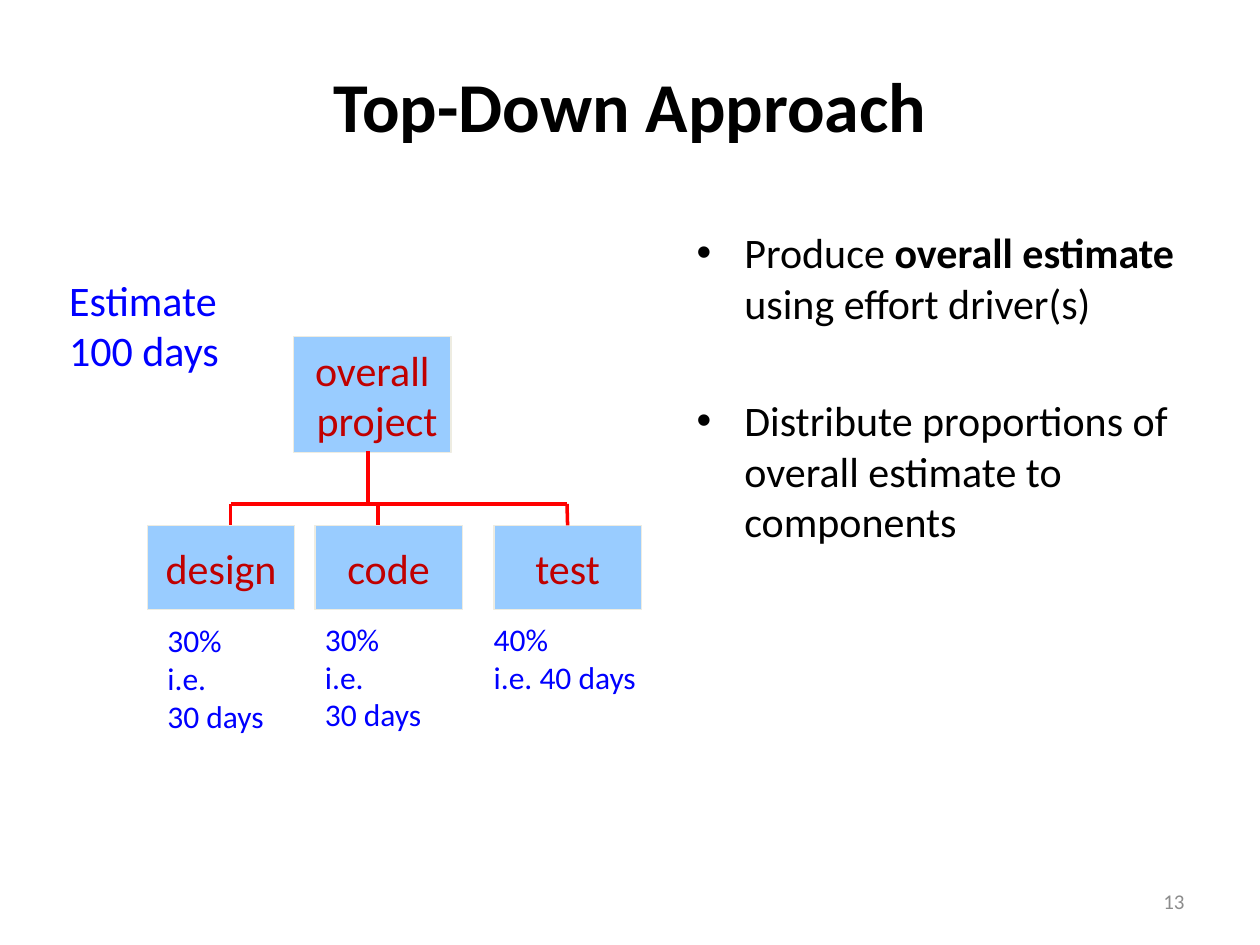
from dataclasses import dataclass

from lxml import etree
from pptx import Presentation
from pptx import util as u
from pptx.dml.color import RGBColor
from pptx.enum import shapes, text
from pptx.oxml import ns

FONT = "Calibri"
BLACK, GRAY, BLUE, DARK_RED = "000000", "8C8C8C", "0000FF", "C00000"
BOX_FILL, BOX_EDGE, LINK_RED = "99CCFF", "EEECE1", "FF0000"
BUS_Y, STAGE_Y = 4, 4.17


@dataclass
class Style:
    size: float
    color: str
    bold: bool = False
    align: text.PP_ALIGN = text.PP_ALIGN.LEFT
    anchor: text.MSO_ANCHOR = text.MSO_ANCHOR.TOP
    wrap: bool = False


@dataclass
class Area:
    left: float
    top: float
    width: float
    height: float

    def inches(self) -> list:
        return [u.Inches(v) for v in (self.left, self.top, self.width, self.height)]


@dataclass
class Stage:
    name: str
    left: float
    link_x: float
    link_width: float
    share: list
    share_area: Area
    share_wraps: bool = False
    centred_link: bool = False


STAGES = [
    Stage("design", 1.17, 1.83, 2, ["30%", "i.e.", "30 days"], Area(1.23, 4.88, 1.18, 1), True),
    Stage("code", 2.5, 3, 1.75, ["30%", "i.e.", "30 days"], Area(2.48, 4.87, 0.98, 1.01)),
    Stage("test", 3.92, 4.5, 2, ["40%", "i.e. 40 days"], Area(3.82, 4.87, 1.34, 0.71),
          centred_link=True),
]


def rgb(code: str) -> RGBColor:
    return RGBColor.from_string(code)


def add_run(paragraph, words: str, style: Style, bold: bool = False) -> None:
    run = paragraph.add_run()
    run.text = words
    run.font.name = FONT
    run.font.size = u.Pt(style.size)
    run.font.bold = style.bold or bold
    run.font.color.rgb = rgb(style.color)


def write_lines(frame, lines: list, style: Style) -> None:
    frame.word_wrap = style.wrap
    frame.vertical_anchor = style.anchor
    for index, line in enumerate(lines):
        paragraph = frame.add_paragraph() if index else frame.paragraphs[0]
        paragraph.alignment = style.align
        add_run(paragraph, line, style)


def add_label(slide, area: Area, lines: list, style: Style) -> None:
    write_lines(slide.shapes.add_textbox(*area.inches()).text_frame, lines, style)


def add_box(slide, area: Area, lines: list):
    box = slide.shapes.add_shape(shapes.MSO_SHAPE.RECTANGLE, *area.inches())
    box.shadow.inherit = False
    box.fill.solid()
    box.fill.fore_color.rgb = rgb(BOX_FILL)
    box.line.color.rgb = rgb(BOX_EDGE)
    box.line.width = u.Pt(0.75)
    write_lines(box.text_frame, lines, Style(
        24, DARK_RED, align=text.PP_ALIGN.CENTER, anchor=text.MSO_ANCHOR.MIDDLE))
    return box


def add_link(slide, x1: float, y1: float, x2: float, y2: float, width: float = 2):
    link = slide.shapes.add_connector(
        shapes.MSO_CONNECTOR.STRAIGHT, *[u.Inches(v) for v in (x1, y1, x2, y2)])
    link.line.color.rgb = rgb(LINK_RED)
    link.line.width = u.Pt(width)
    etree.SubElement(link._element.spPr, ns.qn("a:effectLst"))
    return link


def add_bullet(paragraph, parts: list, gap: float) -> None:
    paragraph.space_before = u.Pt(gap)
    properties = paragraph._p.get_or_add_pPr()
    properties.set("marL", str(u.Inches(0.38)))
    properties.set("indent", str(u.Inches(-0.38)))
    etree.SubElement(properties, ns.qn("a:buFont")).set("typeface", "Arial")
    etree.SubElement(properties, ns.qn("a:buChar")).set("char", "•")
    for words, bold in parts:
        add_run(paragraph, words, Style(24, BLACK), bold)


def add_steps(slide) -> None:
    frame = slide.shapes.add_textbox(*Area(5.43, 1.75, 4.23, 4.25).inches()).text_frame
    frame.word_wrap = True
    add_bullet(frame.paragraphs[0], [
        ("Produce ", False), ("overall estimate", True), (" using effort driver(s)", False)], 0)
    add_bullet(frame.add_paragraph(), [
        ("Distribute proportions of overall estimate to components", False)], 38.4)


def add_breakdown(slide) -> None:
    add_box(slide, Area(2.33, 2.67, 1.25, 0.92), ["overall", " project"])
    add_link(slide, 2.92, 3.58, 2.92, BUS_Y)
    add_link(slide, STAGES[0].link_x, BUS_Y, STAGES[-1].link_x, BUS_Y)
    for stage in STAGES:
        box = add_box(slide, Area(stage.left, STAGE_Y, 1.17, 0.67), [stage.name])
        link = add_link(slide, stage.link_x, BUS_Y, stage.link_x, STAGE_Y, stage.link_width)
        if stage.centred_link:
            link.end_connect(box, 0)
        add_label(slide, stage.share_area, stage.share, Style(18, BLUE, wrap=stage.share_wraps))


def main() -> None:
    deck = Presentation()
    deck.slide_width, deck.slide_height = u.Inches(10), u.Inches(7.5)
    slide = deck.slides.add_slide(deck.slide_layouts[6])
    middle = text.MSO_ANCHOR.MIDDLE
    add_label(slide, Area(0.75, 0.33, 8.5, 1), ["Top-Down Approach"],
              Style(40, BLACK, True, text.PP_ALIGN.CENTER, middle, True))
    add_steps(slide)
    add_breakdown(slide)
    add_label(slide, Area(0.45, 2.13, 1.4, 0.91), ["Estimate", "100 days"], Style(24, BLUE))
    add_label(slide, Area(7.17, 6.95, 2.33, 0.4), ["13"],
              Style(12, GRAY, False, text.PP_ALIGN.RIGHT, middle, True))
    deck.save("out.pptx")


if __name__ == "__main__":
    main()
